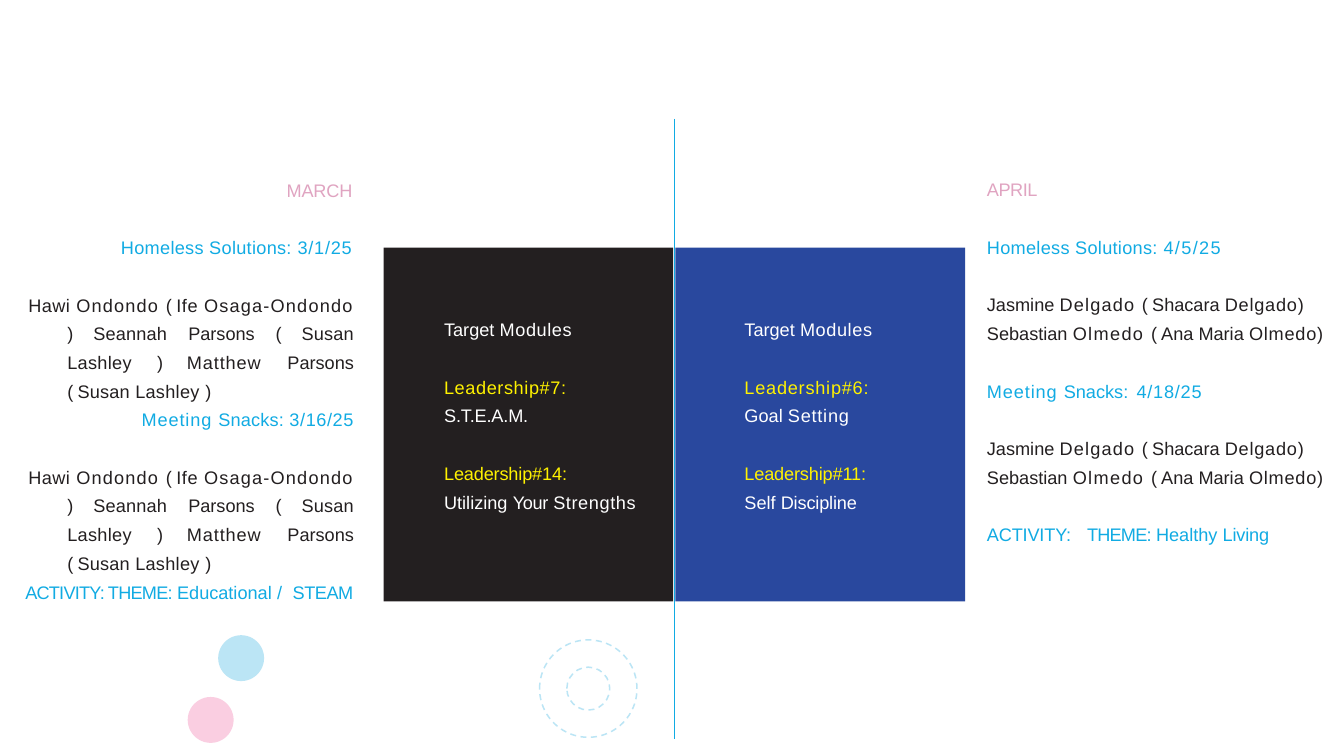
"""Build the March and April troop calendar slide."""
from lxml import etree
from pptx import Presentation
from pptx import util as u
from pptx.dml.color import RGBColor
from pptx.enum import dml, shapes, text
from pptx.oxml.ns import qn

BLACK = RGBColor(0x23, 0x1F, 0x20)
BLUE = RGBColor(0x29, 0x48, 0x9E)
CYAN = RGBColor(0x11, 0xAB, 0xE3)
PALE_CYAN = RGBColor(0xBB, 0xE5, 0xF5)
PALE_PINK = RGBColor(0xFA, 0xCE, 0xE1)
PINK = RGBColor(0xE0, 0xA4, 0xC1)
WHITE = RGBColor(0xFF, 0xFF, 0xFF)
YELLOW = RGBColor(0xFF, 0xF2, 0x00)

ONE_LINE, TWO_LINES, FOUR_LINES = 0.58, 1.42, 2.08
APRIL_LEFT = 23

MARCH_FAMILIES = [
    ("Hawi ", 0.3), ("Ondondo ", 0.8), ("( ", -0.5), ("Ife ", 0.4),
    ("Osaga-Ondondo ", 0.8), (") ", -0.5), ("Seannah ", 0.1), ("Parsons ", 0),
    ("( ", -0.5), ("Susan ", 0.1), ("Lashley ", 0.2), (") ", -0.5),
    ("Matthew ", 0.6), ("Parsons ", 0), ("( ", -0.5), ("Susan ", 0.1),
    ("Lashley ", 0.2), (")", -0.5),
]
APRIL_FAMILIES = [
    ("Jasmine ", 0), ("Delgado ", 0.8), ("( ", -0.6), ("Shacara ", 0),
    ("Delgado) ", 0.5), ("Sebastian ", 0), ("Olmedo ", 0.9), ("( ", -0.6),
    ("Ana Maria ", 0), ("Olmedo)", 0.5),
]
MARCH_LINES = [
    (6.68, 4.14, 1.7, PINK, [("MARCH", -0.1)]),
    (2.82, 5.48, 5.6, CYAN, [("Homeless Solutions: ", 0.2), ("3/1/25", 0.5)]),
    (3.3, 9.5, 5.1, CYAN,
     [("Meeting ", 0.6), ("Snacks: ", 0.1), ("3/16/25", 0.4)]),
    (0.59, 13.51, 7.85, CYAN,
     [("ACTIVITY: THEME: ", -0.5), ("Educational ", 0), ("/ ", 1.8),
      ("STEAM", -0.3)]),
]
APRIL_LINES = [
    (4.12, 1.4, PINK, [("APRIL", -0.3)]),
    (5.48, 5.7, CYAN, [("Homeless Solutions: ", 0.2), ("4/5/25", 0.9)]),
    (8.83, 5.2, CYAN,
     [("Meeting ", 0.6), ("Snacks:", 0), (" ", 2), ("4/18/25", 0.5)]),
    (12.17, 6.9, CYAN,
     [("ACTIVITY:", -0.1), (" ", 7), ("THEME: ", -0.5), ("Healthy ", 0),
      ("Living", -0.1)]),
]
PANELS = [
    (8.94, 10.35, BLACK, [
        (3.1, [("Leadership#7: ", 0.4, YELLOW), ("S.T.E.A.M.", -0.1)]),
        (4.65, [("Leadership#14:", -0.1, YELLOW), (" ", 12, YELLOW),
                ("Utilizing ", 0), ("Your ", -0.2), ("Strengths", 0.4)]),
    ]),
    (15.74, 17.35, BLUE, [
        (3.1, [("Leadership#6: ", 0.5, YELLOW), ("Goal ", 0),
               ("Setting", 0.5)]),
        (3.1, [("Leadership#11: ", -0.1, YELLOW), ("Self ", 0),
               ("Discipline", -0.1)]),
    ]),
]


def add_text(slide, left, top, width, height, color, runs):
    """Add a text box of letter-spaced runs and return its paragraph."""
    box = slide.shapes.add_textbox(u.Cm(left), u.Cm(top), u.Cm(width), u.Cm(height))
    frame = box.text_frame
    frame.margin_left = frame.margin_right = frame.margin_bottom = 0
    frame.margin_top = u.Cm(0.03)
    frame.word_wrap = True
    frame.auto_size = text.MSO_AUTO_SIZE.SHAPE_TO_FIT_TEXT
    paragraph = frame.paragraphs[0]
    paragraph.space_before = u.Pt(1)
    if height > ONE_LINE:
        paragraph.line_spacing = 1.32
    paragraph.font.name = "Arial"
    paragraph.font.size = u.Pt(12)
    paragraph.font.color.rgb = color
    for words, spacing, *run_color in runs:
        run = paragraph.add_run()
        run.text = words
        run._r.get_or_add_rPr().set("spc", str(round(spacing * 100)))
        if run_color:
            run.font.color.rgb = run_color[0]
    return paragraph


def add_march_families(slide, top):
    """Add the justified March family list with a hanging indent."""
    paragraph = add_text(slide, 0.6, top, 7.65, FOUR_LINES, BLACK, MARCH_FAMILIES)
    paragraph.alignment = text.PP_ALIGN.JUSTIFY
    properties = paragraph._p.get_or_add_pPr()
    properties.set("marL", str(u.Cm(0.97)))
    properties.set("indent", str(u.Cm(-0.91)))


def add_filled(slide, kind, left, top, width, height, color):
    """Add a plain filled shape without outline."""
    shape = slide.shapes.add_shape(
        kind, u.Cm(left), u.Cm(top), u.Cm(width), u.Cm(height))
    shape.shadow.inherit = False
    shape.fill.solid()
    shape.fill.fore_color.rgb = color
    shape.line.fill.background()
    return shape


def add_disc(slide, center_x, center_y, diameter, color):
    """Add a filled circle around a centre."""
    return add_filled(slide, shapes.MSO_SHAPE.OVAL, center_x - diameter / 2,
                      center_y - diameter / 2, diameter, diameter, color)


def add_ring(slide, center_x, center_y, diameter):
    """Add a dashed circle outline around a centre."""
    ring = add_disc(slide, center_x, center_y, diameter, PALE_CYAN)
    ring.fill.background()
    ring.line.color.rgb = PALE_CYAN
    ring.line.width = u.Pt(1)
    ring.line.dash_style = dml.MSO_LINE.DASH


def add_divider(slide):
    """Add the thin line between the two months."""
    line = slide.shapes.add_connector(
        shapes.MSO_CONNECTOR.STRAIGHT, u.Cm(15.71), u.Cm(2.77), u.Cm(15.71), u.Cm(17.22))
    line.line.color.rgb = CYAN
    line.line.width = u.Pt(0.75)
    etree.SubElement(line._element.spPr, qn("a:effectLst"))


def add_panel(slide, left, text_left, color, modules):
    """Add a month's panel with its target modules."""
    add_filled(slide, shapes.MSO_SHAPE.RECTANGLE, left, 5.77, 6.75, 8.25, color)
    add_text(slide, text_left, 7.39, 3.2, ONE_LINE, WHITE,
             [("Target ", 0), ("Modules", 0.4)])
    for top, (width, runs) in zip((8.57, 10.58), modules):
        add_text(slide, text_left, top, width, TWO_LINES, WHITE, runs)


def main():
    """Build and save the slide."""
    presentation = Presentation()
    presentation.slide_width = u.Cm(31.32)
    presentation.slide_height = u.Cm(17.62)
    slide = presentation.slides.add_slide(presentation.slide_layouts[6])

    for diameter in (2.27, 1):
        add_ring(slide, 13.71, 16.05, diameter)
    add_disc(slide, 5.62, 15.34, 1.07, PALE_CYAN)
    add_disc(slide, 4.91, 16.78, 1.07, PALE_PINK)
    add_divider(slide)
    for panel in PANELS:
        add_panel(slide, *panel)

    for left, top, width, color, runs in MARCH_LINES:
        add_text(slide, left, top, width, ONE_LINE, color, runs)
    for top in (6.66, 10.67):
        add_march_families(slide, top)

    for top, width, color, runs in APRIL_LINES:
        add_text(slide, APRIL_LEFT, top, width, ONE_LINE, color, runs)
    for top in (6.65, 10):
        add_text(slide, APRIL_LEFT, top, 7.9, TWO_LINES, BLACK, APRIL_FAMILIES)

    presentation.save("out.pptx")


if __name__ == "__main__":
    main()
